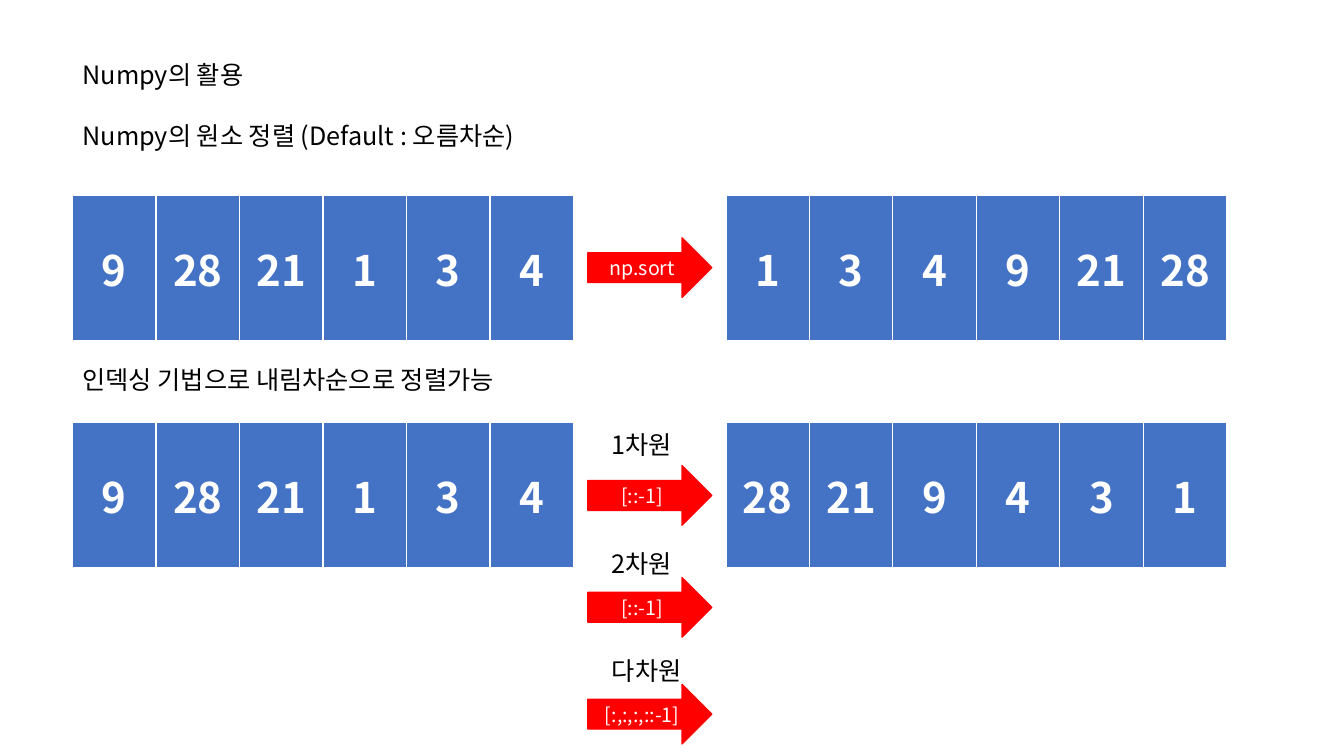
from pptx import Presentation
from pptx import util as u
from pptx.dml.color import RGBColor
from pptx.enum import shapes, text

FONT = "Noto Sans CJK KR"
BLUE, RED, WHITE, BLACK = "4472C4", "FF0000", "FFFFFF", "000000"
HEADINGS = [
    ("Numpy의 활용", 0),
    ("Numpy의 원소 정렬 (Default : 오름차순)", 21.8),
    ("인덱싱 기법으로 내림차순으로 정렬가능", 152.6),
]
UNSORTED = [9, 28, 21, 1, 3, 4]
ASCENDING = sorted(UNSORTED)
ARRAY_ROWS = [
    (1.94, UNSORTED, ASCENDING),
    (4.19, UNSORTED, ASCENDING[::-1]),
]
ARROWS = [(2.36, "np.sort"), (4.62, "[::-1]"), (5.73, "[::-1]"), (6.79, "[:,:,:,::-1]")]
DIMENSIONS = [(4.21, "1차원"), (5.39, "2차원"), (6.45, "다차원")]
ARRAY_LEFTS = (0.72, 7.2)
ARRAY_W, ARRAY_H = 4.97, 1.44


def color(value):
    return RGBColor.from_string(value)


def box(left, top, width, height):
    return [u.Inches(n) for n in (left, top, width, height)]


def write(p, words, size, fill, align=text.PP_ALIGN.LEFT, bold=False):
    p.alignment = align
    r = p.add_run()
    r.text = str(words)
    for name, value in {"name": FONT, "size": u.Pt(size), "bold": bold}.items():
        setattr(r.font, name, value)
    r.font.color.rgb = color(fill)


def add_text(s, place, lines):
    tf = s.shapes.add_textbox(*box(*place)).text_frame
    tf.word_wrap = True
    for i, (words, gap) in enumerate(lines):
        p = tf.add_paragraph() if i else tf.paragraphs[0]
        p.space_before = u.Pt(gap)
        write(p, words, 18, BLACK)


def add_array(s, left, top, values):
    place = box(left, top, ARRAY_W, ARRAY_H)
    table = s.shapes.add_table(1, len(values), *place).table
    for column, cell, value in zip(table.columns, table.rows[0].cells, values):
        column.width = u.Inches(ARRAY_W / len(values))
        cell.fill.solid()
        cell.fill.fore_color.rgb = color(BLUE)
        cell.vertical_anchor = text.MSO_ANCHOR.MIDDLE
        write(cell.text_frame.paragraphs[0], value, 30, WHITE, text.PP_ALIGN.CENTER, True)


def add_arrow(s, top, words):
    sp = s.shapes.add_shape(shapes.MSO_SHAPE.RIGHT_ARROW, *box(5.83, top, 1.23, 0.59))
    sp.shadow.inherit = False
    sp.fill.solid()
    sp.fill.fore_color.rgb = color(RED)
    sp.line.color.rgb = color(RED)
    sp.line.width = u.Pt(1)
    tf = sp.text_frame
    format_values = {"word_wrap": False, "vertical_anchor": text.MSO_ANCHOR.MIDDLE}
    for name, value in format_values.items():
        setattr(tf, name, value)
    write(tf.paragraphs[0], words, 14, WHITE, text.PP_ALIGN.CENTER)


def main():
    prs = Presentation()
    prs.slide_width, prs.slide_height = u.Inches(13.33), u.Inches(7.5)
    s = prs.slides.add_slide(prs.slide_layouts[6])
    add_text(s, (0.72, 0.54, 12.12, 6.46), HEADINGS)
    for top, *arrays in ARRAY_ROWS:
        for left, values in zip(ARRAY_LEFTS, arrays):
            add_array(s, left, top, values)
    for top, words in ARROWS:
        add_arrow(s, top, words)
    for top, words in DIMENSIONS:
        add_text(s, (5.97, top, 0.96, 0.4), [(words, 0)])
    prs.save("out.pptx")


if __name__ == "__main__":
    main()
